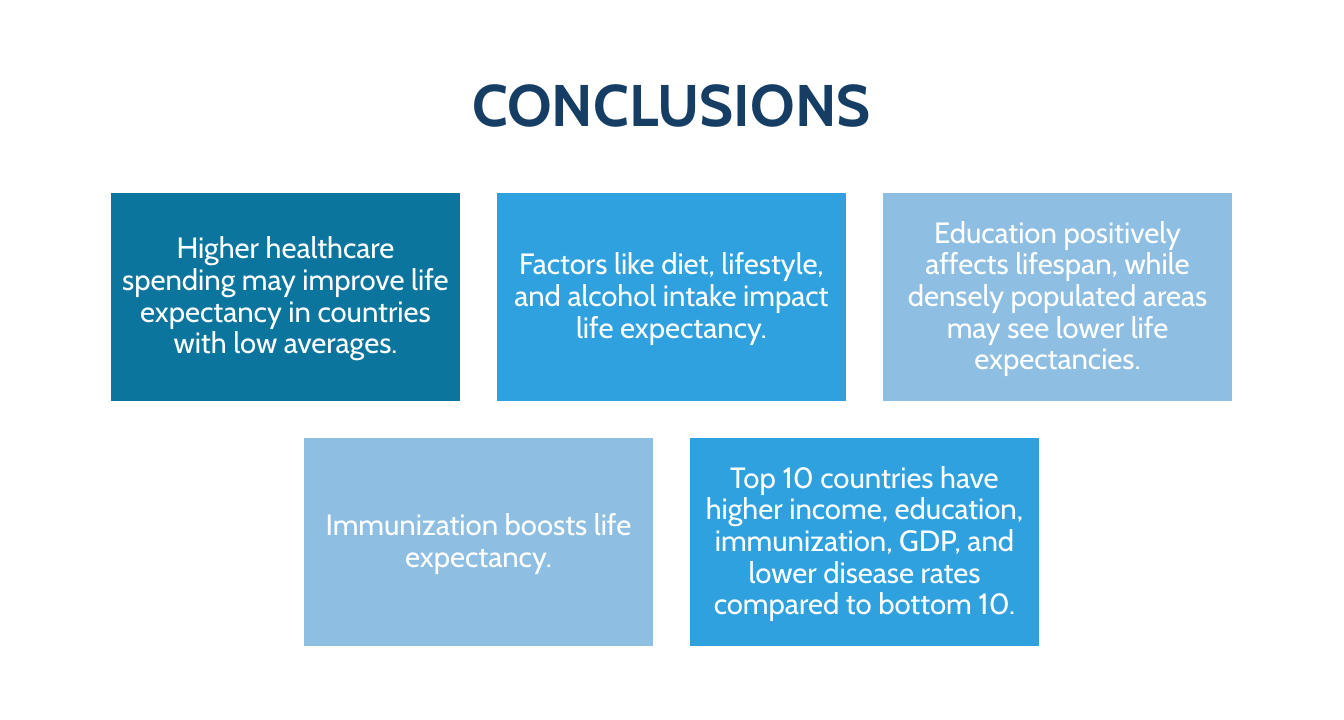
from pptx import Presentation
from pptx.dml.color import RGBColor
from pptx.enum.shapes import MSO_SHAPE
from pptx.enum.text import MSO_ANCHOR, PP_ALIGN
from pptx.util import Pt

RECTANGLE = MSO_SHAPE.RECTANGLE
MIDDLE = MSO_ANCHOR.MIDDLE
CENTER = PP_ALIGN.CENTER

PX = 9525  # EMU per pixel
SLIDE_WIDTH, SLIDE_HEIGHT = 1344, 720
BOX_WIDTH, BOX_HEIGHT = 351, 210
GAP = 35
FIRST_ROW_TOP = 192
BOX_INSET = 9

COLORS = {
    "navy": "163E64",
    "teal": "0B759E",
    "blue": "2EA1DE",
    "light": "8EBFE2",
    "white": "FFFFFF",
}

ROWS = [
    [
        ("teal", "Higher healthcare spending may improve life expectancy "
                 "in countries with low averages."),
        ("blue", "Factors like diet, lifestyle, and alcohol intake impact "
                 "life expectancy."),
        ("light", "Education positively affects lifespan, while densely "
                  "populated areas may see lower life expectancies."),
    ],
    [
        ("light", "Immunization boosts life expectancy."),
        ("blue", "Top 10 countries have higher income, education, "
                 "immunization, GDP, and lower disease rates compared to "
                 "bottom 10."),
    ],
]


def color(name):
    return RGBColor.from_string(COLORS[name])


def write_text(shape, text, color_name, font_format):
    frame = shape.text_frame
    frame.word_wrap = True
    frame.vertical_anchor = MIDDLE
    paragraph = frame.paragraphs[0]
    paragraph.alignment = CENTER
    paragraph.line_spacing = 0.9
    run = paragraph.add_run()
    run.text = text
    run.font.color.rgb = color(color_name)
    for name, value in font_format.items():
        setattr(run.font, name, value)


presentation = Presentation()
presentation.slide_width = SLIDE_WIDTH * PX
presentation.slide_height = SLIDE_HEIGHT * PX
slide = presentation.slides.add_slide(presentation.slide_layouts[5])

# Title
title = slide.shapes.title
title_place = {"left": 92, "top": 38, "width": 1159, "height": 139}
for name, value in title_place.items():
    setattr(title, name, value * PX)
write_text(title, "CONCLUSIONS", "navy",
           {"name": "Cabin", "size": Pt(44), "bold": True})

# Conclusion boxes, each row centred on the slide
for row_index, row in enumerate(ROWS):
    row_width = len(row) * BOX_WIDTH + (len(row) - 1) * GAP
    row_left = (SLIDE_WIDTH - row_width) // 2
    top = FIRST_ROW_TOP + row_index * (BOX_HEIGHT + GAP)
    for column, (fill_name, text) in enumerate(row):
        left = row_left + column * (BOX_WIDTH + GAP)
        box = slide.shapes.add_shape(
            RECTANGLE, left * PX, top * PX, BOX_WIDTH * PX, BOX_HEIGHT * PX)
        box.shadow.inherit = False
        box.fill.solid()
        box.fill.fore_color.rgb = color(fill_name)
        box.line.color.rgb = color("white")
        box.line.width = Pt(1.5)
        for side in ("left", "top", "right", "bottom"):
            setattr(box.text_frame, f"margin_{side}", BOX_INSET * PX)
        write_text(box, text, "white", {"name": "Cabin", "size": Pt(22)})

presentation.save("out.pptx")
